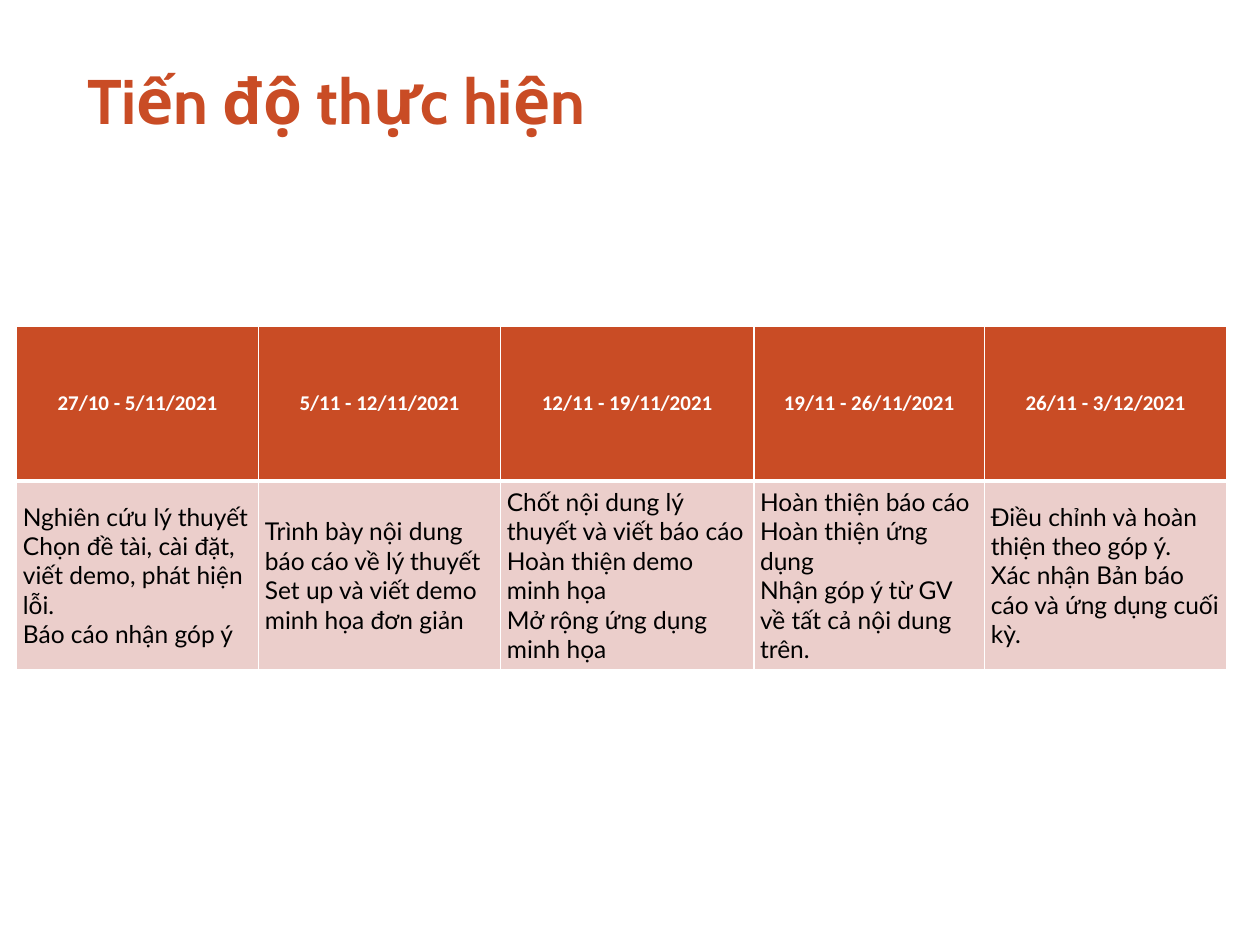
"""Build the project schedule slide: a title above a five-column table."""
from lxml.etree import SubElement
from pptx import Presentation
from pptx.dml.color import RGBColor
from pptx.enum.text import MSO_ANCHOR, MSO_AUTO_SIZE, PP_ALIGN
from pptx.oxml.ns import qn
from pptx.util import Pt

ORANGE = RGBColor(0xC9, 0x4C, 0x25)
PINK = RGBColor(0xEB, 0xCE, 0xCB)
WHITE = RGBColor(0xFF, 0xFF, 0xFF)
BLACK = RGBColor(0, 0, 0)

PLAN = [
    (138.3, "27/10 - 5/11/2021",
     ["Nghiên cứu lý thuyết",
      "Chọn đề tài, cài đặt, viết demo, phát hiện lỗi.",
      "Báo cáo nhận góp ý"]),
    (138.3, "5/11 - 12/11/2021",
     ["Trình bày nội dung báo cáo về lý thuyết",
      "Set up và viết demo minh họa đơn giản"]),
    (144.7, "12/11 - 19/11/2021",
     ["Chốt nội dung lý thuyết và viết báo cáo",
      "Hoàn thiện demo minh họa",
      "Mở rộng ứng dụng minh họa"]),
    (131.9, "19/11 - 26/11/2021",
     ["Hoàn thiện báo cáo",
      "Hoàn thiện ứng dụng",
      "Nhận góp ý từ GV về tất cả nội dung trên."]),
    (138.3, "26/11 - 3/12/2021",
     ["Điều chỉnh và hoàn thiện theo góp ý.",
      "Xác nhận Bản báo cáo và ứng dụng cuối kỳ."]),
]


def style(par, name, size, color, bold, align):
    par.alignment = align
    font = par.font
    font.name, font.size, font.bold = name, Pt(size), bold
    font.color.rgb = color


def format_cell(cell, lines, fill, inset, edges, look):
    props = cell._tc.get_or_add_tcPr()
    for side, width in edges.items():
        line = SubElement(props, qn(f"a:ln{side}"), w=str(Pt(width)))
        paint = SubElement(line, qn("a:solidFill"))
        SubElement(paint, qn("a:srgbClr"), val=str(WHITE))
    cell.fill.solid()
    cell.fill.fore_color.rgb = fill
    cell.vertical_anchor = MSO_ANCHOR.MIDDLE
    cell.margin_left = cell.margin_right = Pt(inset)
    cell.margin_top = cell.margin_bottom = Pt(inset)
    cell.text_frame.text = "\n".join(lines)
    for par in cell.text_frame.paragraphs:
        style(par, *look)


deck = Presentation()
deck.slide_width, deck.slide_height = Pt(720), Pt(540)
slide = deck.slides.add_slide(deck.slide_layouts[5])

title = slide.shapes.title
title.left, title.top = Pt(36.7), Pt(30.2)
title.width, title.height = Pt(365), Pt(53.3)
frame = title.text_frame
frame.text = "Tiến độ thực hiện"
frame.auto_size = MSO_AUTO_SIZE.NONE
frame.vertical_anchor = MSO_ANCHOR.MIDDLE
frame.margin_left = frame.margin_right = 0
frame.margin_top = frame.margin_bottom = 0
head = frame.paragraphs[0]
head._p.get_or_add_pPr().set("indent", str(Pt(13)))
style(head, "Cabin", 36, ORANGE, True, PP_ALIGN.LEFT)

total = sum(width for width, _, _ in PLAN)
table = slide.shapes.add_table(
    2, len(PLAN), Pt(9.5), Pt(186.6), Pt(total), Pt(176.4)).table
for row in table.rows:
    row.height = Pt(88.2)

for col, (width, dates, tasks) in enumerate(PLAN):
    table.columns[col].width = Pt(width)
    format_cell(table.cell(0, col), [dates], ORANGE, 1.5,
                {"L": 1, "R": 1, "T": 1, "B": 3},
                ("Calibri", 12, WHITE, True, PP_ALIGN.CENTER))
    format_cell(table.cell(1, col), tasks, PINK, 3.6,
                {"L": 1, "R": 1, "T": 3, "B": 1},
                ("Lato", 14, BLACK, False, PP_ALIGN.LEFT))

deck.save("out.pptx")
